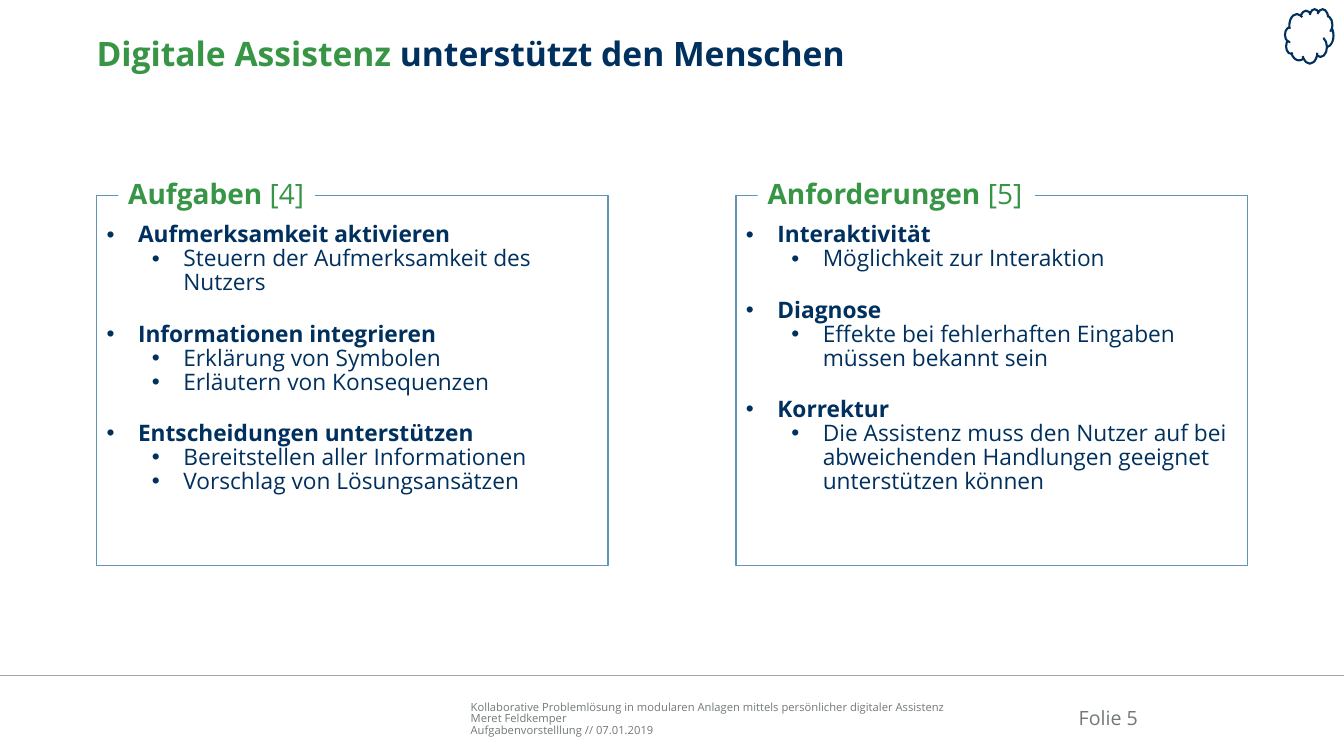
import pptx
import pptx.dml.color
import pptx.enum.shapes
import pptx.enum.text
import pptx.oxml
import pptx.oxml.ns
import pptx.util

Pt = pptx.util.Pt
SHAPES = pptx.enum.shapes.MSO_SHAPE
ANCHOR = pptx.enum.text.MSO_ANCHOR
ALIGN = pptx.enum.text.PP_ALIGN
WIDTH, HEIGHT = 960, 540
GREEN, NAVY, GREY = "379545", "00305E", "727879"
LINE_SPACING = 0.88
LINE_HEIGHT = 19.43

TASKS = [
    ("Aufmerksamkeit aktivieren", ["Steuern der Aufmerksamkeit des Nutzers"]),
    ("Informationen integrieren", ["Erklärung von Symbolen", "Erläutern von Konsequenzen"]),
    ("Entscheidungen unterstützen", ["Bereitstellen aller Informationen", "Vorschlag von Lösungsansätzen"]),
]
REQUIREMENTS = [
    ("Interaktivität", ["Möglichkeit zur Interaktion"]),
    ("Diagnose", ["Effekte bei fehlerhaften Eingaben müssen bekannt sein"]),
    ("Korrektur", ["Die Assistenz muss den Nutzer auf bei abweichenden Handlungen geeignet unterstützen können"]),
]
FOOTER = [
    "Kollaborative Problemlösung in modularen Anlagen mittels persönlicher digitaler Assistenz",
    "Meret Feldkemper",
    "Aufgabenvorstelllung // 07.01.2019",
]


def color(value):
    """Return the color for a hex string."""
    return pptx.dml.color.RGBColor.from_string(value)


def set_attributes(target, values):
    """Set each named attribute on the target."""
    for name, value in values.items():
        setattr(target, name, value)


def format_frame(frame, margins, anchor=ANCHOR.TOP):
    """Set margins (left, top, right, bottom), anchor and wrapping."""
    left, top, right, bottom = map(Pt, margins)
    set_attributes(frame, {
        "margin_left": left, "margin_top": top, "margin_right": right,
        "margin_bottom": bottom, "vertical_anchor": anchor, "word_wrap": True,
    })


def write_paragraph(frame, runs, size, space_before=0, alignment=ALIGN.LEFT):
    """Append a paragraph of (text, color, bold) runs and return it."""
    first = frame.paragraphs[0]
    paragraph = frame.add_paragraph() if first.runs else first
    set_attributes(paragraph, {
        "alignment": alignment, "line_spacing": LINE_SPACING,
        "space_before": Pt(space_before), "space_after": Pt(0),
    })
    for text, run_color, bold in runs:
        run = paragraph.add_run()
        run.text = text
        set_attributes(run.font, {"name": "Open Sans", "size": Pt(size), "bold": bold})
        run.font.color.rgb = color(run_color)
    return paragraph


def add_bullet(paragraph, level):
    """Give the paragraph a bullet and the hanging indent of its level."""
    paragraph.level = level
    properties = paragraph._p.get_or_add_pPr()
    properties.set("marL", str(Pt(22.5 + 32.4 * level)))
    properties.set("indent", str(Pt(-22.5)))
    namespace = pptx.oxml.ns.nsdecls("a")
    for markup in ('<a:buFont %s typeface="Arial"/>', '<a:buChar %s char="•"/>'):
        properties.append(pptx.oxml.parse_xml(markup % namespace))


def add_white_shape(slide, kind, box, line=None, line_width=1):
    """Add a white preset shape, outlined if a line color is given."""
    shape = slide.shapes.add_shape(kind, *map(Pt, box))
    shape.shadow.inherit = False
    shape.fill.solid()
    shape.fill.fore_color.rgb = color("FFFFFF")
    if line:
        shape.line.color.rgb = color(line)
        shape.line.width = Pt(line_width)
    else:
        shape.line.fill.background()
    return shape


def add_text(slide, box, lines, size, anchor=ANCHOR.TOP, alignment=ALIGN.LEFT):
    """Add a text box without margins, one paragraph per list of runs."""
    frame = slide.shapes.add_textbox(*map(Pt, box)).text_frame
    format_frame(frame, (0, 0, 0, 0), anchor)
    for runs in lines:
        write_paragraph(frame, runs, size, alignment=alignment)


def add_header(slide, left, top, width, height):
    """Add the two-colored title and the cloud in the corner."""
    runs = [("Digitale Assistenz ", GREEN, True), ("unterstützt den Menschen", NAVY, True)]
    add_text(slide, (left, top, width, height), [runs], 24)
    add_white_shape(slide, SHAPES.CLOUD, (left + width + 15.9, top - 20.9, 34.6, 38.9), NAVY, 1.5)


def add_panel(slide, left, top, width, height, heading, source, label_width, topics):
    """Add a framed bullet list with its heading set into the top edge."""
    frame = add_white_shape(slide, SHAPES.RECTANGLE, (left, top, width, height), "6096B3").text_frame
    format_frame(frame, (7.2, 20.2, 7.2, 3.6))
    for index, (topic, details) in enumerate(topics):
        gap = LINE_HEIGHT if index else 0
        add_bullet(write_paragraph(frame, [(topic, NAVY, True)], 16.2, gap), 0)
        for detail in details:
            add_bullet(write_paragraph(frame, [(detail, NAVY, False)], 16.2), 1)
    label_height = 26.6
    label_box = (left + 15.5, top - label_height / 2, label_width, label_height)
    label = add_white_shape(slide, SHAPES.RECTANGLE, label_box).text_frame
    format_frame(label, (7.2, 3.6, 7.2, 3.6), ANCHOR.MIDDLE)
    write_paragraph(label, [(heading + " ", GREEN, True), (source, GREEN, False)], 20)


def add_footer(slide, left, top, width, height):
    """Add the dividing line, the credits and the slide number."""
    line = slide.shapes.add_connector(
        pptx.enum.shapes.MSO_CONNECTOR.STRAIGHT, Pt(left), Pt(top), Pt(left + width), Pt(top))
    line.line.color.rgb = color("A6A6A6")
    line.line.width = Pt(1)
    line._element.spPr.append(pptx.oxml.parse_xml("<a:effectLst %s/>" % pptx.oxml.ns.nsdecls("a")))
    credits = [[(text, GREY, False)] for text in FOOTER]
    add_text(slide, (left + 336.2, top + 15, 353.5, height - 28.6), credits, 8, ANCHOR.BOTTOM)
    number = [[("Folie 5", GREY, False)]]
    add_text(slide, (left + 741.6, top + 12, 71.3, 26.6), number, 14, ANCHOR.BOTTOM, ALIGN.RIGHT)


def main():
    """Build the slide and save it."""
    presentation = pptx.Presentation()
    set_attributes(presentation, {"slide_width": Pt(WIDTH), "slide_height": Pt(HEIGHT)})
    slide = presentation.slides.add_slide(presentation.slide_layouts[6])
    margin, panel_width = 69, 365.2
    add_header(slide, margin, 27.4, 833, 54)
    panels = [
        (margin, "Aufgaben", "[4]", 140.4, TASKS),
        (margin + 456.7, "Anforderungen", "[5]", 198, REQUIREMENTS),
    ]
    for left, *content in panels:
        add_panel(slide, left, 139.7, panel_width, 264.2, *content)
    add_footer(slide, 0, 482.4, WIDTH, HEIGHT - 482.4)
    presentation.save("out.pptx")


if __name__ == "__main__":
    main()
